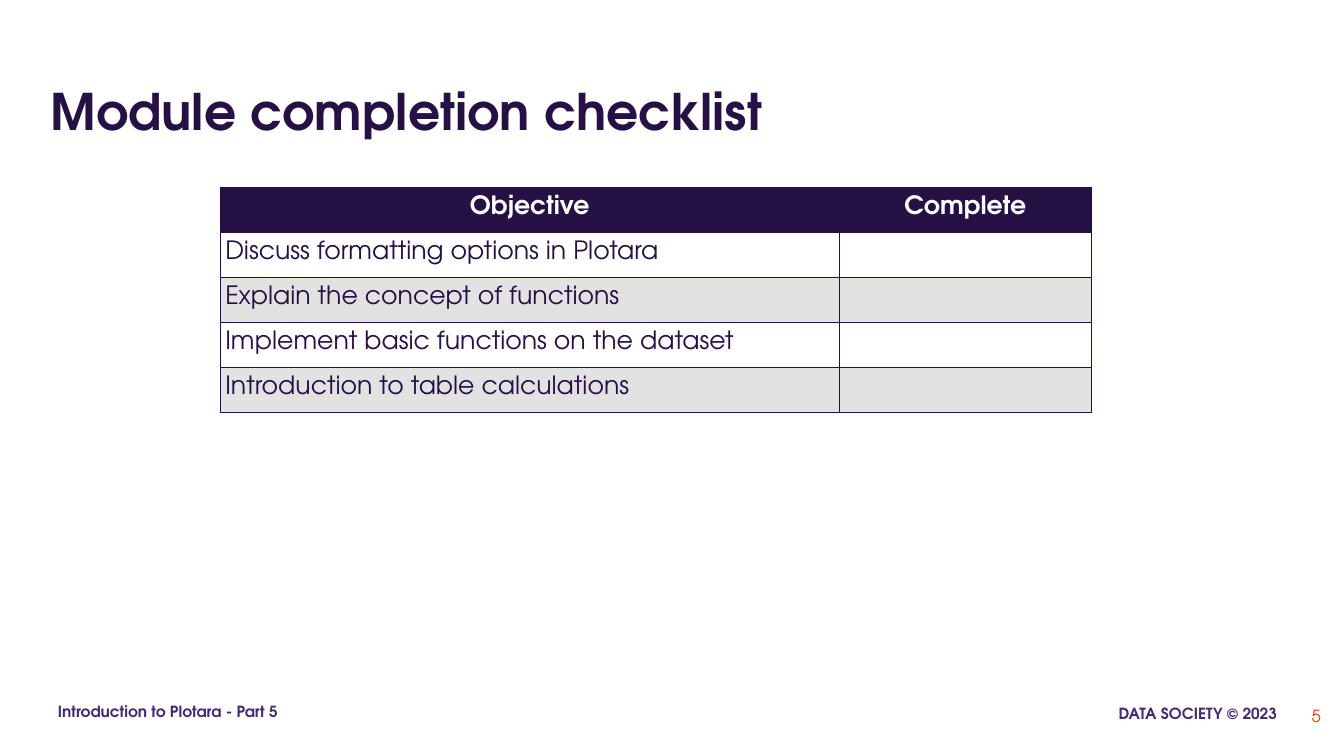
import pptx
import pptx.util
import pptx.dml.color
import pptx.enum.text
import pptx.oxml
import pptx.oxml.ns
from pptx.util import Inches

RGBColor = pptx.dml.color.RGBColor
PP_ALIGN = pptx.enum.text.PP_ALIGN
MSO_ANCHOR = pptx.enum.text.MSO_ANCHOR

INDIGO = RGBColor(0x26, 0x11, 0x44)
VIOLET = RGBColor(0x42, 0x2B, 0x72)
ORANGE = RGBColor(0xFF, 0x35, 0x0F)
GREY = RGBColor(0xE2, 0xE2, 0xE2)
WHITE = RGBColor(0xFF, 0xFF, 0xFF)


class SlideBuilder:
    font_name = "TeX Gyre Adventor"
    border_width = pptx.util.Pt(0.75)

    def __init__(self, slide):
        self.slide = slide

    def style(self, paragraph, size, color, bold=False, align=PP_ALIGN.LEFT):
        paragraph.alignment = align
        paragraph.font.name = self.font_name
        paragraph.font.size = pptx.util.Pt(size)
        paragraph.font.bold = bold
        paragraph.font.color.rgb = color

    def text(self, words, left, top, width, height, size, color, bold=False,
             align=PP_ALIGN.LEFT, anchor=MSO_ANCHOR.TOP, insets=(0.1, 0.05)):
        box = self.slide.shapes.add_textbox(
            Inches(left), Inches(top), Inches(width), Inches(height))
        frame = box.text_frame
        frame.word_wrap = True
        frame.vertical_anchor = anchor
        frame.margin_left = frame.margin_right = Inches(insets[0])
        frame.margin_top = frame.margin_bottom = Inches(insets[1])
        frame.text = words
        self.style(frame.paragraphs[0], size, color, bold, align)

    def border(self, cell):
        properties = cell._tc.get_or_add_tcPr()
        for position, side in enumerate(("lnL", "lnR", "lnT", "lnB")):
            properties.insert(position, pptx.oxml.parse_xml(
                f'<a:{side} {pptx.oxml.ns.nsdecls("a")} w="{self.border_width}">'
                f'<a:solidFill><a:srgbClr val="{INDIGO}"/></a:solidFill>'
                f'</a:{side}>'))

    def table(self, rows, left, top, column_widths, row_height):
        grid = self.slide.shapes.add_table(
            len(rows), len(column_widths), Inches(left), Inches(top),
            Inches(sum(column_widths)), Inches(row_height * len(rows))).table
        for column, width in zip(grid.columns, column_widths):
            column.width = Inches(width)
        for row_index, row in enumerate(rows):
            header = row_index == 0
            fill = INDIGO if header else WHITE if row_index % 2 else GREY
            for column_index, words in enumerate(row):
                cell = grid.cell(row_index, column_index)
                cell.margin_left = cell.margin_right = Inches(0.1)
                cell.margin_top = cell.margin_bottom = Inches(0.1)
                cell.fill.solid()
                cell.fill.fore_color.rgb = fill
                self.border(cell)
                if words:
                    cell.text = words
                    paragraph = cell.text_frame.paragraphs[0]
                    paragraph.line_spacing = 1.15
                    self.style(paragraph, 36, WHITE if header else INDIGO, header,
                               PP_ALIGN.CENTER if header else PP_ALIGN.LEFT)


def main():
    deck = pptx.Presentation()
    deck.slide_width = Inches(26.67)
    deck.slide_height = Inches(15)
    builder = SlideBuilder(deck.slides.add_slide(deck.slide_layouts[6]))

    builder.text("DATA SOCIETY © 2023", 21.14, 13.78, 4.44, 0.85, 22, VIOLET,
                 bold=True, align=PP_ALIGN.RIGHT, insets=(0.24, 0.24))
    builder.text("Introduction to Plotara - Part 5", 0.91, 13.74, 5.48, 0.85, 22,
                 VIOLET, bold=True, insets=(0.24, 0.24))
    builder.text("Module completion checklist", 0.91, 1.17, 24.85, 1.67, 72,
                 INDIGO, bold=True, anchor=MSO_ANCHOR.BOTTOM)

    objectives = [
        "Discuss formatting options in Plotara",
        "Explain the concept of functions",
        "Implement basic functions on the dataset",
        "Introduction to table calculations",
    ]
    checklist = [("Objective", "Complete")] + [(goal, "") for goal in objectives]
    builder.table(checklist, 4.37, 3.72, (12.28, 5.01), 0.74)

    builder.text("5", 24.71, 13.78, 1.6, 0.85, 24, ORANGE,
                 align=PP_ALIGN.RIGHT, anchor=MSO_ANCHOR.MIDDLE)
    deck.save("out.pptx")


if __name__ == "__main__":
    main()
